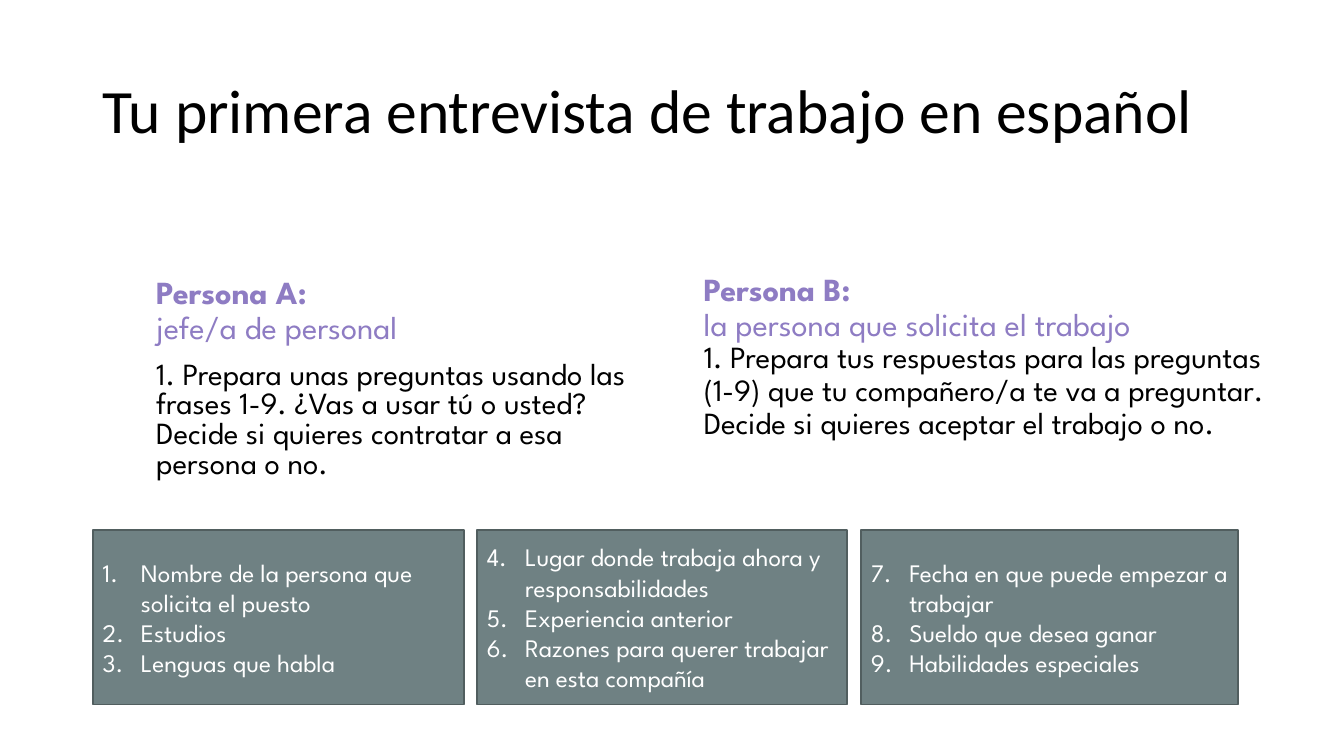
from dataclasses import dataclass

from lxml import etree
from pptx import Presentation
from pptx.dml.color import RGBColor
from pptx.enum import shapes, text
from pptx.oxml.ns import qn
from pptx.util import Inches, Pt


@dataclass(frozen=True)
class Theme:
    title_font: str = "Calibri"
    body_font: str = "League Spartan"
    ink: str = "000000"
    role: str = "8E7CC3"
    panel: str = "6F8183"
    panel_edge: str = "515E5F"
    panel_text: str = "FFFFFF"
    title_size: int = 44
    role_size: int = 23
    task_size: int = 22
    topic_size: int = 18


class SlideBuilder:
    def __init__(self, slide, theme):
        self.slide = slide
        self.theme = theme

    def _frame(self, shape, anchor, left, right):
        frame = shape.text_frame
        frame.word_wrap = True
        frame.vertical_anchor = anchor
        frame.margin_left, frame.margin_right = Inches(left), Inches(right)
        frame.margin_top = frame.margin_bottom = Inches(0.05)
        return frame

    def _style(self, paragraph, font, size, color, bold=False):
        paragraph.alignment = text.PP_ALIGN.LEFT
        paragraph.font.name = font
        paragraph.font.size = Pt(size)
        paragraph.font.bold = bold
        paragraph.font.color.rgb = RGBColor.from_string(color)

    def _number(self, paragraph, start):
        """Turn a paragraph into an item of an automatic list."""
        props = paragraph._p.get_or_add_pPr()
        props.set("marL", str(Inches(0.38)))
        props.set("indent", str(-Inches(0.38)))
        color = etree.SubElement(props, qn("a:buClr"))
        etree.SubElement(color, qn("a:srgbClr"), val=self.theme.panel_text)
        etree.SubElement(props, qn("a:buAutoNum"), type="arabicPeriod", startAt=str(start))

    def _text_box(self, box, anchor, left, right):
        shape = self.slide.shapes.add_textbox(*map(Inches, box))
        return self._frame(shape, anchor, left, right)

    def title(self, wording, box):
        frame = self._text_box(box, text.MSO_ANCHOR.MIDDLE, 0.1, 0.1)
        heading = frame.paragraphs[0]
        heading.text = wording
        heading.line_spacing = 0.9
        self._style(heading, self.theme.title_font, self.theme.title_size, self.theme.ink)

    def role(self, person, job, box):
        frame = self._text_box(box, text.MSO_ANCHOR.MIDDLE, 0.15, 0.15)
        for line, bold in ((frame.paragraphs[0], True), (frame.add_paragraph(), False)):
            line.text = person if bold else job
            line.line_spacing = 0.9
            self._style(line, self.theme.body_font, self.theme.role_size, self.theme.role, bold)

    def task(self, wording, box, spacing):
        frame = self._text_box(box, text.MSO_ANCHOR.TOP, 0.15, 0.05)
        instruction = frame.paragraphs[0]
        instruction.text = wording
        instruction.line_spacing = spacing
        self._style(instruction, self.theme.body_font, self.theme.task_size, self.theme.ink)

    def topics(self, items, start, box):
        panel = self.slide.shapes.add_shape(shapes.MSO_SHAPE.RECTANGLE, *map(Inches, box))
        panel.shadow.inherit = False
        panel.fill.solid()
        panel.fill.fore_color.rgb = RGBColor.from_string(self.theme.panel)
        panel.line.color.rgb = RGBColor.from_string(self.theme.panel_edge)
        panel.line.width = Pt(1.25)
        frame = self._frame(panel, text.MSO_ANCHOR.MIDDLE, 0.1, 0.1)
        for index, item in enumerate(items):
            topic = frame.add_paragraph() if index else frame.paragraphs[0]
            topic.text = item
            self._number(topic, start)
            self._style(topic, self.theme.body_font, self.theme.topic_size, self.theme.panel_text)


ROLES = [
    ("Persona A:", "jefe/a de personal", (1.4, 2.64, 5.2, 0.9)),
    ("Persona B:", "la persona que solicita el trabajo", (6.83, 2.61, 5.2, 0.9)),
]
TASKS = [
    ("1. Prepara unas preguntas usando las frases 1-9. ¿Vas a usar tú o usted? "
     "Decide si quieres contratar a esa persona o no.", (1.4, 3.54, 5.2, 1.34), 0.8),
    ("1. Prepara tus respuestas para las preguntas (1-9) que tu compañero/a te va a "
     "preguntar. Decide si quieres aceptar el trabajo o no.", (6.83, 3.34, 5.91, 3.65), 0.9),
]
TOPICS = [
    (0.92, 3.68, ["Nombre de la persona que solicita el puesto", "Estudios",
                  "Lenguas que habla"]),
    (4.73, 3.67, ["Lugar donde trabaja ahora y responsabilidades", "Experiencia anterior",
                  "Razones para querer trabajar en esta compañía"]),
    (8.54, 3.74, ["Fecha en que puede empezar a trabajar", "Sueldo que desea ganar",
                  "Habilidades especiales"]),
]


def main():
    deck = Presentation()
    deck.slide_width, deck.slide_height = Inches(13.33), Inches(7.5)
    builder = SlideBuilder(deck.slides.add_slide(deck.slide_layouts[6]), Theme())

    builder.title("Tu primera entrevista de trabajo en español", (0.92, 0.4, 11.5, 1.45))
    for person, job, box in ROLES:
        builder.role(person, job, box)
    for wording, box, spacing in TASKS:
        builder.task(wording, box, spacing)
    start = 1
    for left, width, items in TOPICS:
        builder.topics(items, start, (left, 5.26, width, 1.73))
        start += len(items)

    deck.save("out.pptx")


if __name__ == "__main__":
    main()
